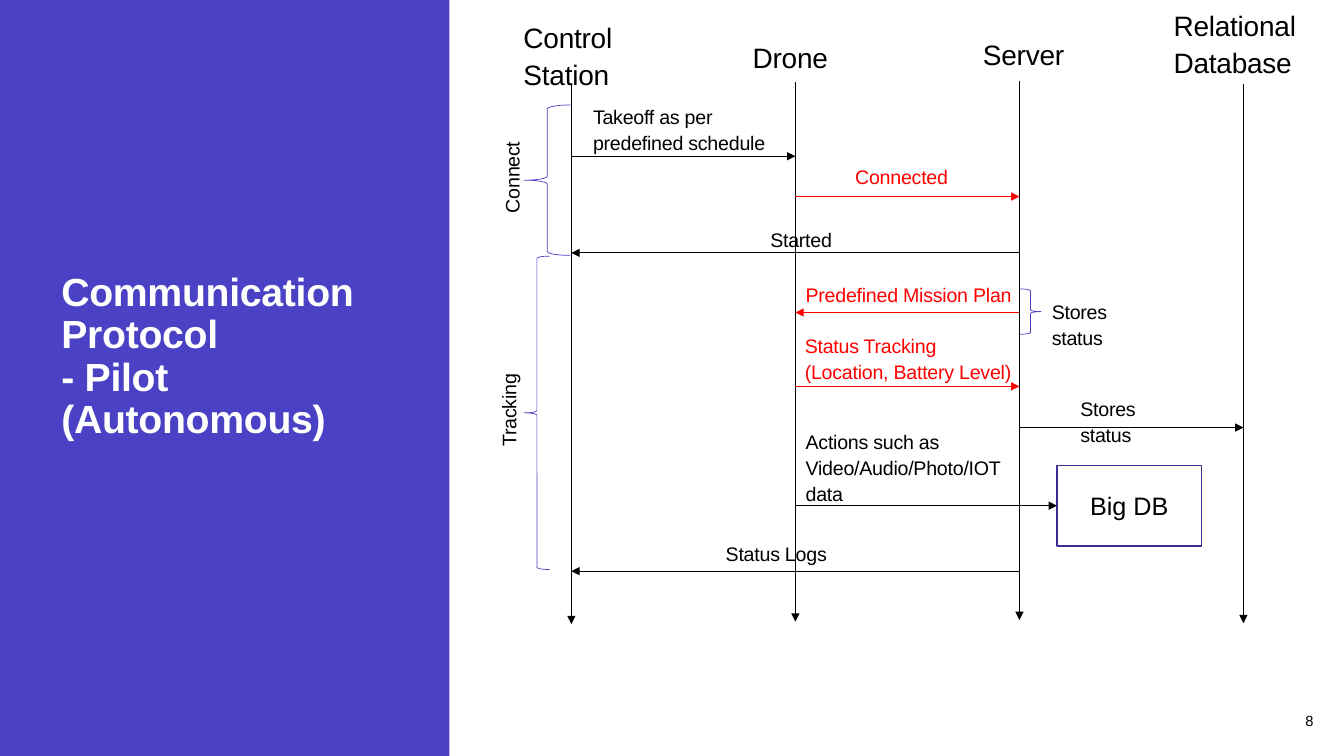
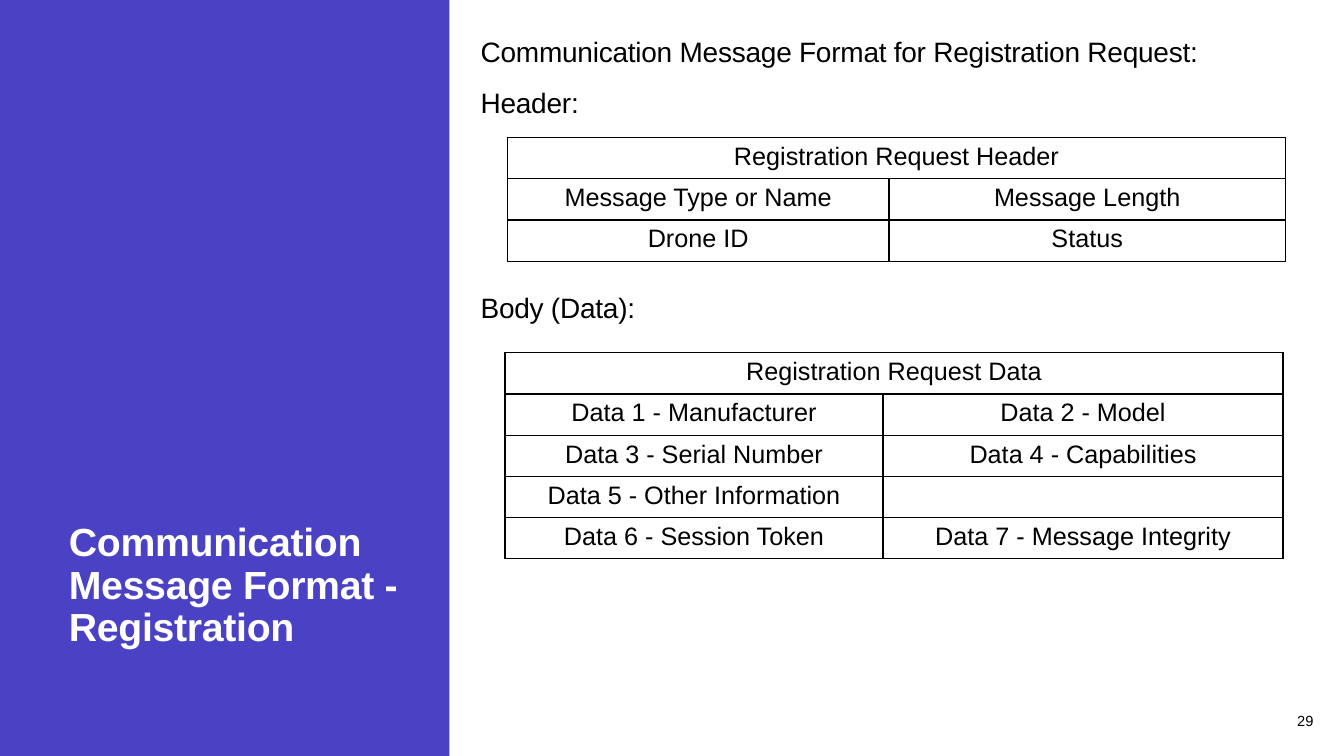
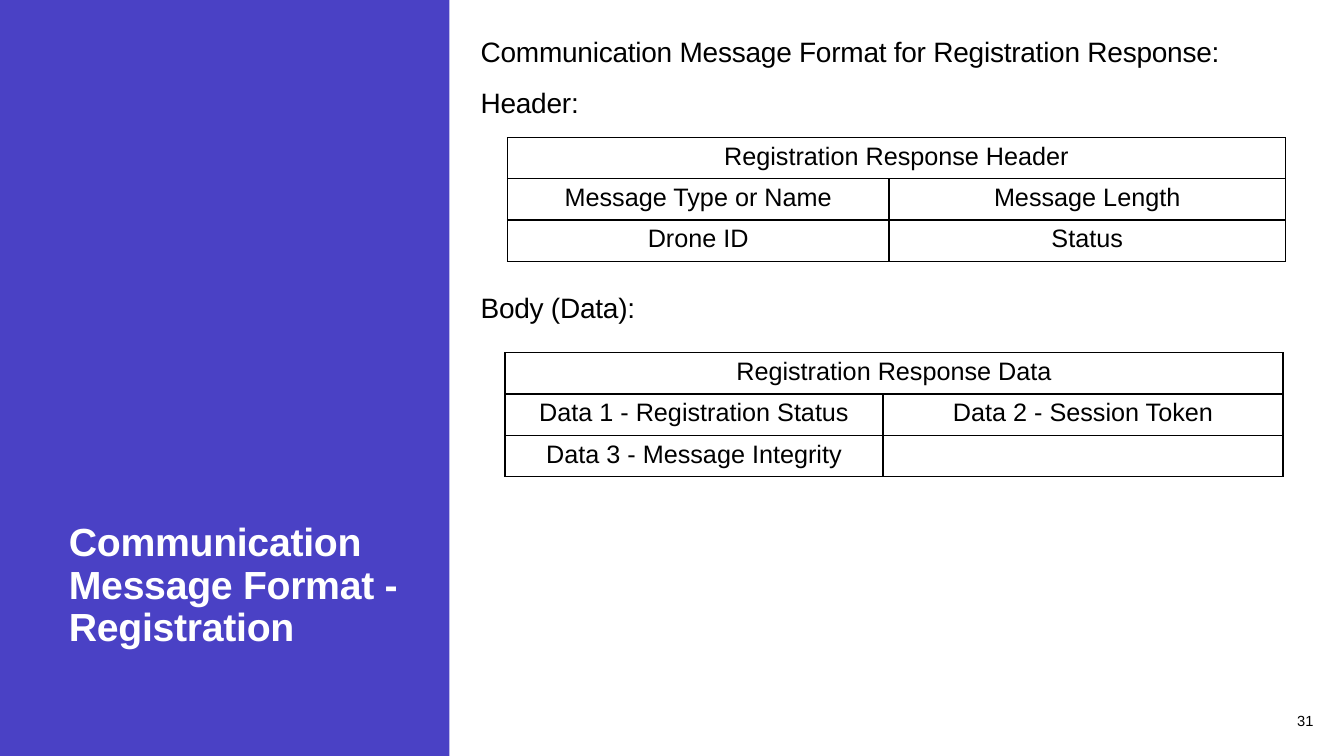
from lxml.etree import SubElement as Sub
from pptx import Presentation as Deck
from pptx.dml.color import RGBColor as RGB
from pptx.enum.shapes import MSO_CONNECTOR as Link, MSO_SHAPE as Form
from pptx.enum.text import MSO_ANCHOR as Hold, MSO_AUTO_SIZE as Fit, PP_ALIGN as Side
from pptx.oxml.ns import qn
from pptx.util import Inches, Pt

BLUE = RGB(0x4A, 0x41, 0xC5)
NAVY = RGB(0x37, 0x30, 0x92)
RED = RGB(0xFF, 0x00, 0x00)
BLACK = RGB(0x00, 0x00, 0x00)
WHITE = RGB(0xFF, 0xFF, 0xFF)
FONT = "Arial"
COLS, ROWS = 16, 9

deck = Deck()
deck.slide_width, deck.slide_height = Inches(13.33), Inches(7.5)
CELL = deck.slide_height / ROWS


def grid(*spots):
    return [round(spot * CELL) for spot in spots]


def put(frame, text, size=14, color=BLACK, bold=False, side=Side.LEFT,
        hold=Hold.TOP, lead=1.1, track=-20, gaps=()):
    frame.word_wrap = True
    frame.auto_size = Fit.NONE
    frame.vertical_anchor = hold
    for row, line in enumerate(text.split("\n")):
        para = frame.add_paragraph() if row else frame.paragraphs[0]
        props = para._p.get_or_add_pPr()
        props.set("marL", "0")
        props.set("indent", "0")
        Sub(props, qn("a:buNone"))
        para.alignment = side
        para.line_spacing = lead
        para.space_before = Pt(gaps[row - 1] if row and gaps else 0)
        run = para.add_run()
        run.text = line
        font = run.font
        font.name, font.size, font.bold = FONT, Pt(size), bold
        font.color.rgb = color
        run._r.get_or_add_rPr().set("spc", str(track))


layout = deck.slide_layouts[1]
FORMAT = "Communication Message Format - Registration"
LOW = (0.7, 1.02, 4.21, 6.78)
pages = [
    ("8", "Communication Protocol\n- Pilot (Autonomous)", (0.61, 2.68, 4.21, 2.64)),
    ("29", FORMAT, LOW),
    ("31", FORMAT, LOW),
]
slides = []
for number, head, spot in pages:
    slide = deck.slides.add_slide(layout)
    title = slide.shapes.title
    title.left, title.top, title.width, title.height = grid(*spot)
    put(title.text_frame, head, size=28, color=WHITE, bold=True, hold=Hold.BOTTOM, lead=0.9)
    foot = slide.shapes.add_textbox(*grid(14.92, 8.34, 0.83, 0.48))
    put(foot.text_frame, number, size=10.5, side=Side.RIGHT, hold=Hold.MIDDLE, lead=1, track=0)
    slides.append(slide)

flow = slides[0].shapes
band = flow.add_shape(Form.RECTANGLE, *grid(0, 0, 5.35, ROWS))
band.shadow.inherit = False
band.fill.solid()
band.fill.fore_color.rgb = BLUE
band.line.fill.background()
layout.shapes.element.insert(2, band.element)

forms = [
    (Form.LEFT_BRACE, (6.24, 1.25, 0.55, 1.79), BLUE, 0.5),
    (Form.RIGHT_BRACE, (12.14, 3.44, 0.25, 0.54), BLUE, 0.5),
    (Form.LEFT_BRACE, (6.24, 3.05, 0.3, 3.73), BLUE, 0.5),
    (Form.RECTANGLE, (12.58, 5.54, 1.72, 0.96), NAVY, 1),
]
for form, spot, color, width in forms:
    store = flow.add_shape(form, *grid(*spot))
    store.shadow.inherit = False
    store.fill.background()
    store.line.color.rgb = color
    store.line.width = Pt(width)
put(store.text_frame, "Big DB", size=18, side=Side.CENTER, hold=Hold.MIDDLE, lead=1, track=0)

lanes = [6.8 + 8 / 3 * lane for lane in range(4)]
wires = [(x, top, x, top + 6.42, BLACK) for x, top in zip(lanes, (1.01, 0.98, 0.96, 1))]
calls = [
    (0, 1, 1.86, BLACK),
    (1, 2, 2.34, RED),
    (2, 0, 3.01, BLACK),
    (2, 1, 3.72, RED),
    (1, 2, 4.6, RED),
    (2, 3, 5.09, BLACK),
    (2, 0, 6.8, BLACK),
]
wires += [(lanes[a], y, lanes[b], y, color) for a, b, y, color in calls]
wires.append((lanes[1], 6.02, 12.58, 6.02, BLACK))
for *ends, color in wires:
    wire = flow.add_connector(Link.STRAIGHT, *grid(*ends))
    wire.line.color.rgb = color
    wire.line.width = Pt(0.5)
    props = wire.element.spPr
    Sub(props.get_or_add_ln(), qn("a:tailEnd"), type="triangle")
    Sub(props, qn("a:effectLst"))
wire.end_connect(store, 1)

heads = [
    ("Control Station", (6.11, 0.14, 1.56, 0.98)),
    ("Drone", (8.84, 0.38, 1.21, 0.54)),
    ("Server", (11.58, 0.35, 1.21, 0.54)),
    ("Relational Database", (13.85, 0, 1.85, 0.98)),
]
for lane, (text, spot) in enumerate(heads):
    box = flow.add_textbox(*grid(*spot)) if lane else flow.placeholders[1]
    box.left, box.top, box.width, box.height = grid(*spot)
    put(box.text_frame, text, size=20)

notes = [
    ("Takeoff as per predefined schedule", 6.94, 1.16, 2.5, 2, BLACK, 0),
    ("Connected", 10.06, 1.88, 1.44, 1, RED, 0),
    ("Started", 9.05, 2.63, 1.18, 1, BLACK, 0),
    ("Predefined Mission Plan", 9.47, 3.28, 2.8, 1, RED, 0),
    ("Status Tracking (Location, Battery Level)", 9.46, 3.89, 2.8, 2, RED, 0),
    ("Stores status", 12.74, 4.64, 1.55, 1, BLACK, 0),
    ("Stores status", 12.4, 3.48, 1.55, 1, BLACK, 0),
    ("Actions such as Video/Audio/Photo/IOT data", 9.47, 5.03, 2.8, 3, BLACK, 0),
    ("Status Logs", 8.52, 6.36, 1.54, 1, BLACK, 0),
    ("Connect", 5.48, 1.86, 1.18, 1, BLACK, 270),
    ("Tracking", 5.44, 4.64, 1.18, 1, BLACK, 270),
]
for text, x, y, width, lines, color, turn in notes:
    note = flow.add_textbox(*grid(x, y, width, 0.1 + 0.31 * lines))
    note.rotation = turn
    put(note.text_frame, text, color=color)

data = {
    "Request": [
        ("Data 1 - Manufacturer", "Data 2 - Model"),
        ("Data 3 - Serial Number", "Data 4 - Capabilities"),
        ("Data 5 - Other Information", ""),
        ("Data 6 - Session Token", "Data 7 - Message Integrity"),
    ],
    "Response": [
        ("Data 1 - Registration Status", "Data 2 - Session Token"),
        ("Data 3 - Message Integrity", ""),
    ],
}
top = [("Message Type or Name", "Message Length"), ("Drone ID", "Status")]
for slide, (kind, rows) in zip(slides[1:], data.items()):
    body = slide.placeholders[1]
    body.left, body.top, body.width, body.height = grid(5.6, 0.31, 9.94, 8.39)
    text = f"Communication Message Format for Registration {kind}:\nHeader:\nBody (Data):"
    put(body.text_frame, text, size=20, gaps=(10, 120))
    parts = [
        ("Header", top, 6.04, 1.64, (4.54, 4.72)),
        ("Data", rows, 6.01, 4.2, (4.5, 4.76)),
    ]
    for part, lines, x, y, widths in parts:
        lines = [(f"Registration {kind} {part}", "")] + lines
        spot = grid(x, y, sum(widths), 0.49 * len(lines))
        table = slide.shapes.add_table(len(lines), 2, *spot).table
        table.first_row = table.horz_banding = False
        for col, width in zip(table.columns, grid(*widths)):
            col.width = width
        table.cell(0, 0).merge(table.cell(0, 1))
        for r, line in enumerate(lines):
            for c, text in enumerate(line):
                cell = table.cell(r, c)
                props = cell._tc.get_or_add_tcPr()
                for edge in "LRTB":
                    rule = Sub(props, qn(f"a:ln{edge}"), w=str(Pt(1)))
                    Sub(Sub(rule, qn("a:solidFill")), qn("a:srgbClr"), val=str(BLACK))
                cell.fill.background()
                if text:
                    put(cell.text_frame, text, size=18, side=Side.CENTER, lead=1, track=0)

deck.save("out.pptx")
